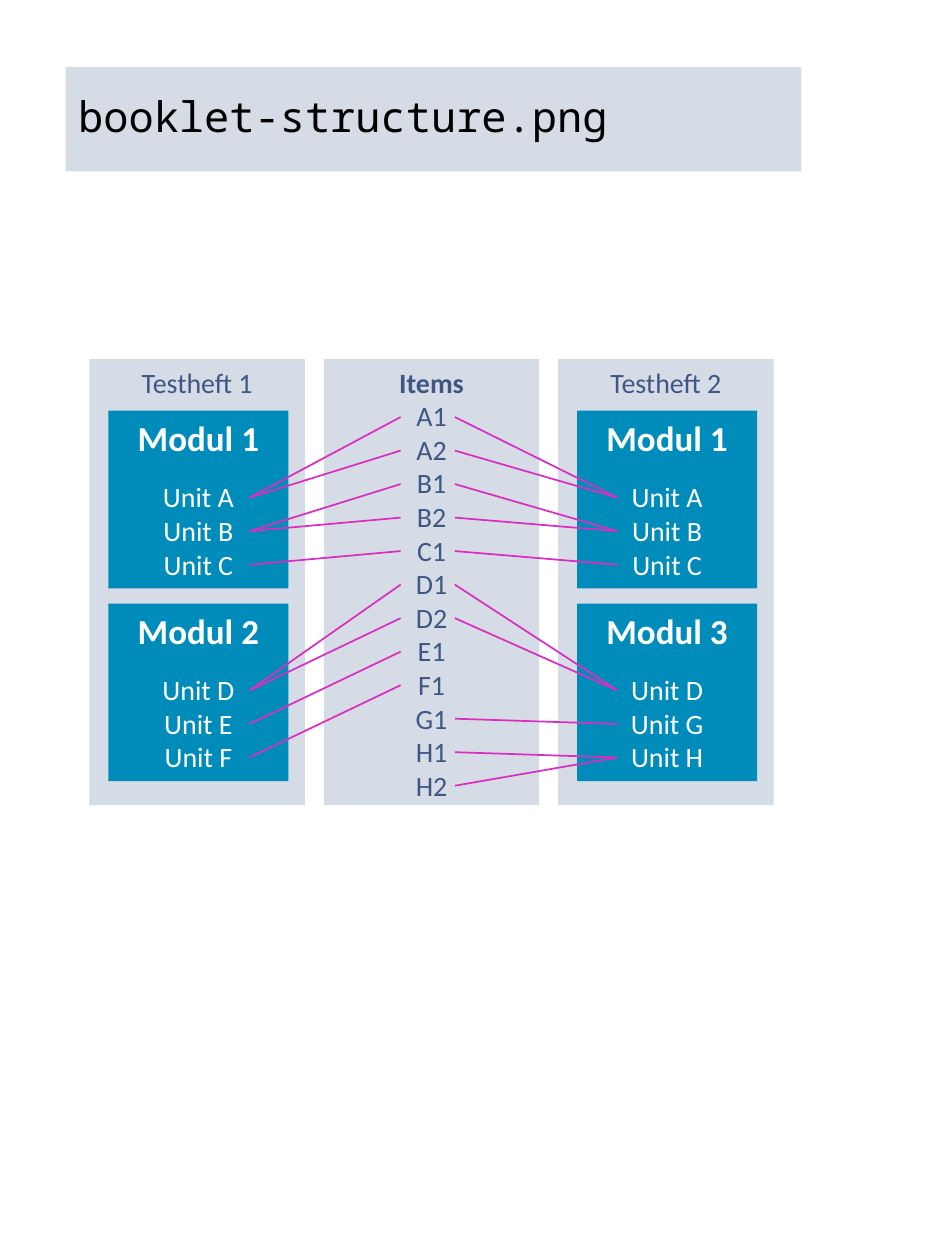
from pptx import Presentation
from pptx.dml.color import RGBColor
from pptx.enum.shapes import MSO_CONNECTOR, MSO_SHAPE
from pptx.enum.text import MSO_ANCHOR, MSO_AUTO_SIZE, PP_ALIGN
from pptx.oxml.ns import qn
from pptx.util import Inches, Pt

RECT, STRAIGHT = MSO_SHAPE.RECTANGLE, MSO_CONNECTOR.STRAIGHT
CENTER, LEFT = PP_ALIGN.CENTER, PP_ALIGN.LEFT
TOP, MIDDLE = MSO_ANCHOR.TOP, MSO_ANCHOR.MIDDLE
NO_FIT = MSO_AUTO_SIZE.NONE

PALE = RGBColor(0xD6, 0xDC, 0xE5)
TEAL = RGBColor(0x00, 0x8C, 0xBA)
NAVY = RGBColor(0x40, 0x57, 0x86)
PINK = RGBColor(0xD9, 0x2F, 0xC1)
WHITE = RGBColor(0xFF, 0xFF, 0xFF)
BLACK = RGBColor(0x00, 0x00, 0x00)

ITEMS = ["A1", "A2", "B1", "B2", "C1", "D1", "D2", "E1", "F1", "G1", "H1", "H2"]
BOOKLETS = [
    ("Testheft 1", [("Modul 1", "ABC"), ("Modul 2", "DEF")]),
    ("Testheft 2", [("Modul 1", "ABC"), ("Modul 3", "DGH")]),
]
COLUMN_X, COLUMN_PITCH = 0.71, 1.86
COLUMN_Y, COLUMN_W, COLUMN_H = 2.85, 1.71, 3.54
MODULE_Y, MODULE_PITCH = 0.41, 1.53
MODULE_W, MODULE_H = 1.43, 1.41
LINE_PITCH = 0.266


def set_all(obj, values):
    for name, value in values.items():
        setattr(obj, name, value)


def add_paragraph(tf, index, text, **font):
    p = tf.paragraphs[0] if index == 0 else tf.add_paragraph()
    p.alignment = CENTER
    r = p.add_run()
    r.text = text
    color = font.pop("color")
    set_all(r.font, {"name": "Calibri", **font})
    r.font.color.rgb = color
    return p


def add_box(slide, x, y, w, h, fill):
    """Add a plain rectangle and return its text frame."""
    sp = slide.shapes.add_shape(RECT, Inches(x), Inches(y), Inches(w), Inches(h))
    sp.shadow.inherit = False
    sp.fill.solid()
    sp.fill.fore_color.rgb = fill
    sp.line.fill.background()
    set_all(sp.text_frame, {"word_wrap": True, "vertical_anchor": TOP})
    return sp.text_frame


def add_title(slide, x, y, w, h):
    sp = slide.shapes.title
    set_all(sp, {"left": Inches(x), "top": Inches(y),
                 "width": Inches(w), "height": Inches(h)})
    sp.fill.solid()
    sp.fill.fore_color.rgb = PALE
    tf = sp.text_frame
    tf.text = "booklet-structure.png"
    set_all(tf, {"auto_size": NO_FIT, "word_wrap": True, "vertical_anchor": MIDDLE})
    p = tf.paragraphs[0]
    set_all(p, {"alignment": LEFT, "line_spacing": 0.9})
    font = p.runs[0].font
    set_all(font, {"name": "Noto Sans Mono", "size": Pt(24)})
    font.color.rgb = BLACK


def add_module(slide, x, y, name, units):
    """Add a module and return the height of each unit's text line."""
    tf = add_box(slide, x, y, MODULE_W, MODULE_H, TEAL)
    add_paragraph(tf, 0, name, size=Pt(20), bold=True, color=WHITE)
    for i, unit in enumerate(units, 1):
        p = add_paragraph(tf, i, f"Unit {unit}", size=Pt(16), color=WHITE)
        if i == 1:
            p.space_before = Pt(12)
    return {unit: y + 0.69 + i * LINE_PITCH for i, unit in enumerate(units)}


def add_booklet(slide, x, y, name, modules):
    """Add a booklet with its modules and return the heights of all units."""
    tf = add_box(slide, x, y, COLUMN_W, COLUMN_H, PALE)
    add_paragraph(tf, 0, name, size=Pt(16), color=NAVY)
    unit_y = {}
    for i, (module, units) in enumerate(modules):
        top = y + MODULE_Y + i * MODULE_PITCH
        unit_y.update(add_module(slide, x + 0.15, top, module, units))
    return unit_y


def add_items(slide, x, y):
    """Add the item column and return the height of each item."""
    tf = add_box(slide, x, y, COLUMN_W, COLUMN_H, PALE)
    for i, text in enumerate(["Items"] + ITEMS):
        add_paragraph(tf, i, text, size=Pt(16), bold=i == 0, color=NAVY)
    return {item: y + 0.46 + i * LINE_PITCH for i, item in enumerate(ITEMS)}


def add_links(slide, unit_x, unit_y, item_x, item_y):
    """Join each unit to the items that carry its letter."""
    for item, y in item_y.items():
        if item[0] not in unit_y:
            continue
        line = slide.shapes.add_connector(
            STRAIGHT, Inches(unit_x), Inches(unit_y[item[0]]), Inches(item_x), Inches(y))
        line.line.color.rgb = PINK
        line.line.width = Pt(1)
        sp_pr = line._element.spPr
        sp_pr.append(sp_pr.makeelement(qn("a:effectLst"), {}))


def main():
    prs = Presentation()
    set_all(prs, {"slide_width": Inches(7.5), "slide_height": Inches(10)})
    slide = prs.slides.add_slide(prs.slide_layouts[5])
    add_title(slide, 0.52, 0.53, 5.84, 0.83)

    left_x, items_x, right_x = (COLUMN_X + i * COLUMN_PITCH for i in range(3))
    left_y, right_y = (add_booklet(slide, x, COLUMN_Y, name, modules)
                       for x, (name, modules) in zip((left_x, right_x), BOOKLETS))
    item_y = add_items(slide, items_x, COLUMN_Y)
    add_links(slide, left_x + 1.27, left_y, items_x + 0.61, item_y)
    add_links(slide, right_x + 0.47, right_y, items_x + 1.04, item_y)
    prs.save("out.pptx")


if __name__ == "__main__":
    main()
